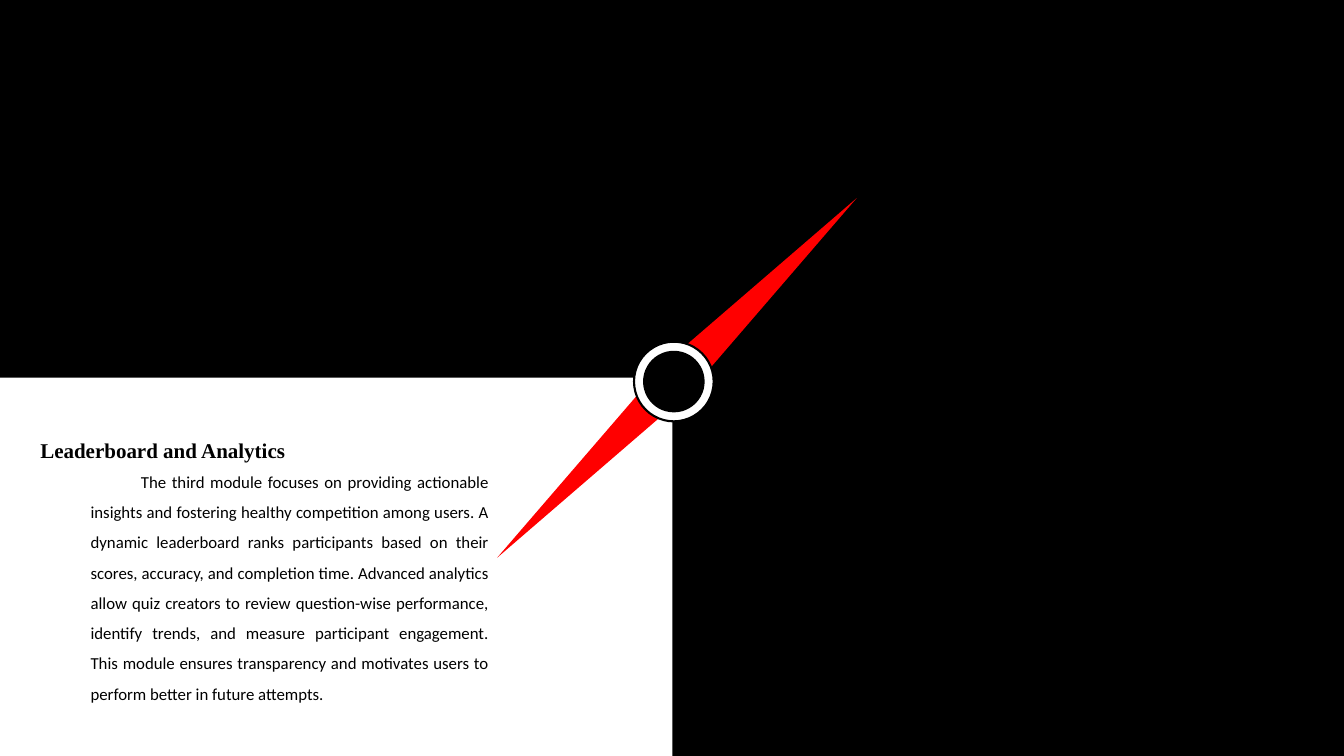
from pptx import Presentation
from pptx.dml.color import RGBColor
from pptx.enum.shapes import MSO_SHAPE
from pptx.enum.text import MSO_ANCHOR, MSO_AUTO_SIZE, PP_ALIGN
from pptx.util import Pt

BLACK, WHITE, RED = "000000", "FFFFFF", "FF0000"
HEADING = "Leaderboard and Analytics"
DESCRIPTION = (
    "The third module focuses on providing actionable insights and fostering "
    "healthy competition among users. A dynamic leaderboard ranks participants "
    "based on their scores, accuracy, and completion time. Advanced analytics "
    "allow quiz creators to review question-wise performance, identify trends, "
    "and measure participant engagement. This module ensures transparency and "
    "motivates users to perform better in future attempts."
)


def color(hex_code):
    """Turn a hex string into a colour."""
    return RGBColor.from_string(hex_code)


def add_part(compass, kind, center, size, rotation, fill, outline=None):
    """Add one rotated compass part around its center."""
    (x, y), (width, height) = center, size
    part = compass.shapes.add_shape(
        kind, Pt(x - width / 2), Pt(y - height / 2), Pt(width), Pt(height))
    part.rotation = rotation
    part.shadow.inherit = False
    part.fill.solid()
    part.fill.fore_color.rgb = color(fill)
    if outline:
        part.line.color.rgb = color(outline)
        part.line.width = Pt(1.5)
    else:
        part.line.fill.background()


def add_compass(slide):
    """Draw the dial, the two needles and the hub."""
    compass = slide.shapes.add_group_shape()
    add_part(compass, MSO_SHAPE.PIE, (480.24, 269.64), (1186.56, 1180.08), 180, BLACK)
    for direction, rotation in ((-1, 225), (1, 45)):
        tip = (483.48 + 63 * direction, 270 - 63 * direction)
        add_part(compass, MSO_SHAPE.ISOSCELES_TRIANGLE, tip, (27.36, 185.04), rotation, RED)
    for diameter, fill in ((56.88, WHITE), (42.48, BLACK)):
        add_part(compass, MSO_SHAPE.FLOWCHART_CONNECTOR, (481.32, 272.52),
                 (diameter, diameter), 225, fill, BLACK)


def place(box, top, height):
    """Place a box in the text column."""
    box.left, box.top, box.width, box.height = Pt(21.6), Pt(top), Pt(334.8), Pt(height)


def write(box, text, font_name, size, bold, margins):
    """Write one justified paragraph and return it."""
    frame = box.text_frame
    frame.word_wrap = True
    frame.auto_size = MSO_AUTO_SIZE.NONE
    frame.vertical_anchor = MSO_ANCHOR.TOP
    frame.margin_left = frame.margin_right = Pt(7.2)
    frame.margin_top, frame.margin_bottom = map(Pt, margins)
    paragraph = frame.paragraphs[0]
    paragraph.alignment = PP_ALIGN.JUSTIFY
    paragraph.line_spacing = 1.5
    paragraph.space_before = Pt(0)
    run = paragraph.add_run()
    run.text = text
    run.font.name = font_name
    run.font.size = Pt(size)
    run.font.bold = bold
    run.font.color.rgb = color(BLACK)
    return paragraph


def add_heading(slide):
    """Fill the title placeholder."""
    heading = slide.shapes.title
    place(heading, 300.24, 29.5)
    write(heading, HEADING, "Times New Roman", 15, True, (3.6, 0))


def add_description(slide):
    """Add the indented description below the heading."""
    description = slide.shapes.add_textbox(0, 0, 0, 0)
    place(description, 329.74, 194.4)
    paragraph = write(description, DESCRIPTION, "Calibri", 12, False, (0, 3.6))
    properties = paragraph._p.get_or_add_pPr()
    properties.set("marL", str(Pt(36)))
    properties.set("indent", str(Pt(36)))


def main():
    """Build and save the slide."""
    deck = Presentation()
    deck.slide_width, deck.slide_height = Pt(960), Pt(540)
    slide = deck.slides.add_slide(deck.slide_layouts.get_by_name("Title Only"))
    add_compass(slide)
    add_heading(slide)
    add_description(slide)
    deck.save("out.pptx")


if __name__ == "__main__":
    main()
